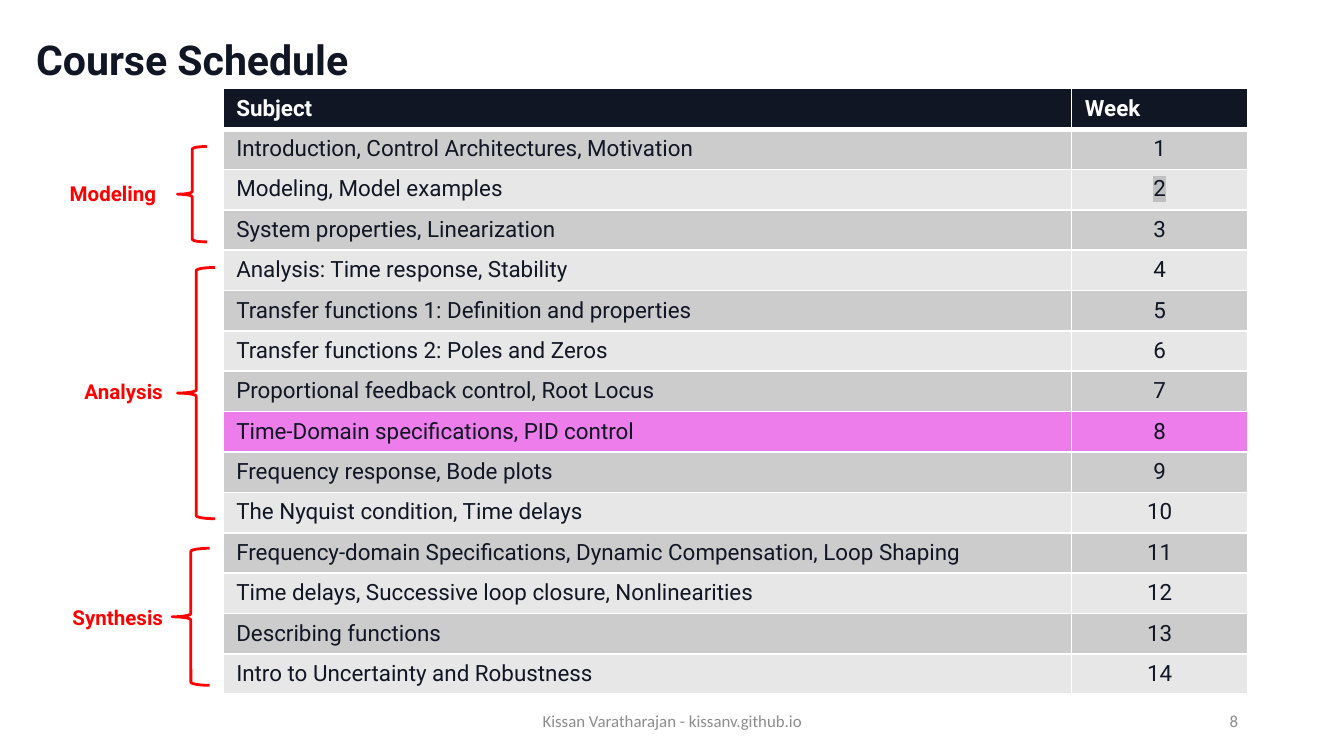
from lxml import etree
from pptx import Presentation
from pptx.dml.color import RGBColor
from pptx.enum.shapes import MSO_SHAPE
from pptx.enum.text import MSO_ANCHOR, PP_ALIGN
from pptx.oxml.ns import qn
from pptx.util import Inches, Pt

BRACE = MSO_SHAPE.LEFT_BRACE
LEFT, MID, RIGHT = PP_ALIGN.LEFT, PP_ALIGN.CENTER, PP_ALIGN.RIGHT
TOP, CENTRE = MSO_ANCHOR.TOP, MSO_ANCHOR.MIDDLE

HUES = {"ink": "101623", "white": "FFFFFF", "red": "FF0000", "grey": "8C8C8D",
        "dark": "CCCCCD", "light": "E7E7E8", "now": "ED7DEA", "mark": "C0C0C0"}
FONTS = {
    "title": {"name": "Roboto", "size": Pt(22), "bold": True},
    "head": {"name": "Roboto", "size": Pt(12), "bold": True},
    "body": {"name": "Roboto", "size": Pt(12), "bold": False},
    "label": {"name": "Roboto", "size": Pt(11), "bold": True},
    "foot": {"name": "Calibri", "size": Pt(9), "bold": False},
}

# A 16:9 slide, ten inches wide
deck = Presentation()
deck.slide_width = Inches(10)
deck.slide_height = deck.slide_width * 9 // 16
slide = deck.slides.add_slide(deck.slide_layouts[6])
shapes = slide.shapes


def place(x, y, w, h):
    """Turn percentages of the slide's width and height into lengths."""
    wide, high = deck.slide_width / 100, deck.slide_height / 100
    return int(x * wide), int(y * high), int(w * wide), int(h * high)


def write(frame, text, kind, hue, align=LEFT):
    para = frame.paragraphs[0]
    para.alignment = align
    run = para.add_run()
    run.text = text
    for key, value in FONTS[kind].items():
        setattr(run.font, key, value)
    run.font.color.rgb = RGBColor.from_string(HUES[hue])
    return run


# Title and footer
for text, kind, hue, align, area in [
    ("Course Schedule", "title", "ink", LEFT, (1.7, -1.42, 86.2, 19.38)),
    ("Kissan Varatharajan - kissanv.github.io", "foot", "grey", MID,
     (33.1, 92.65, 33.8, 5.33)),
    ("8", "foot", "grey", RIGHT, (70.6, 92.65, 22.5, 5.33)),
]:
    frame = shapes.add_textbox(*place(*area)).text_frame
    frame.word_wrap = True
    frame.vertical_anchor = CENTRE
    write(frame, text, kind, hue, align)
    if kind == "title":
        frame.paragraphs[0].line_spacing = 0.9

# Schedule table
topics = [
    "Introduction, Control Architectures, Motivation",
    "Modeling, Model examples",
    "System properties, Linearization",
    "Analysis: Time response, Stability",
    "Transfer functions 1: Definition and properties",
    "Transfer functions 2: Poles and Zeros",
    "Proportional feedback control, Root Locus",
    "Time-Domain specifications, PID control",
    "Frequency response, Bode plots",
    "The Nyquist condition, Time delays",
    "Frequency-domain Specifications, Dynamic Compensation, Loop Shaping",
    "Time delays, Successive loop closure, Nonlinearities",
    "Describing functions",
    "Intro to Uncertainty and Robustness",
]
NOW, MARKED = 8, 2
rows = [("Subject", "Week")]
rows += [(topic, str(week)) for week, topic in enumerate(topics, 1)]

area = place(16.58, 11.73, 76.3, 78.76)
holder = shapes.add_table(len(rows), 2, *area)
table = holder.table
for col, share in zip(table.columns, (63.15, 13.1)):
    col.width = place(0, 0, share, 0)[2]

for week, texts in enumerate(rows):
    table.rows[week].height = place(0, 0, 0, 3.91)[3]
    head = week == 0
    back = "ink" if head else "now" if week == NOW else "dark" if week % 2 else "light"
    for col, text in enumerate(texts):
        cell = table.cell(week, col)
        cell.fill.solid()
        cell.fill.fore_color.rgb = RGBColor.from_string(HUES[back])
        run = write(cell.text_frame, text, "head" if head else "body",
                    "white" if head else "ink", MID if col and not head else LEFT)

        # White borders, thicker below the header
        props = cell._tc.get_or_add_tcPr()
        for spot, side in enumerate(("lnL", "lnR", "lnT", "lnB")):
            thick = (head and side == "lnB") or (week == 1 and side == "lnT")
            line = etree.Element(qn("a:" + side), w=str(Pt(3 if thick else 1)))
            fill = etree.SubElement(line, qn("a:solidFill"))
            etree.SubElement(fill, qn("a:srgbClr"), val=HUES["white"])
            props.insert(spot, line)

        # Highlighted week number
        if week == MARKED and col:
            mark = etree.Element(qn("a:highlight"))
            etree.SubElement(mark, qn("a:srgbClr"), val=HUES["mark"])
            run._r.get_or_add_rPr().find(qn("a:solidFill")).addnext(mark)
holder.height = area[3]

# Course parts: label and brace
for text, label, brace in [
    ("Modeling", (4.2, 23.11, 9, 5.16), (13.2, 19.38, 2.2, 12.62)),
    ("Analysis", (5.3, 49.24, 7.9, 5.16), (13.2, 35.38, 2.8, 33.24)),
    ("Synthesis", (4.4, 79.11, 8.8, 5.16), (12.8, 72.53, 2.8, 18.13)),
]:
    frame = shapes.add_textbox(*place(*label)).text_frame
    frame.word_wrap = False
    frame.vertical_anchor = TOP
    write(frame, text, "label", "red")
    shape = shapes.add_shape(BRACE, *place(*brace))
    shape.shadow.inherit = False
    shape.fill.background()
    shape.line.color.rgb = RGBColor.from_string(HUES["red"])
    shape.line.width = Pt(1.5)

deck.save("out.pptx")
